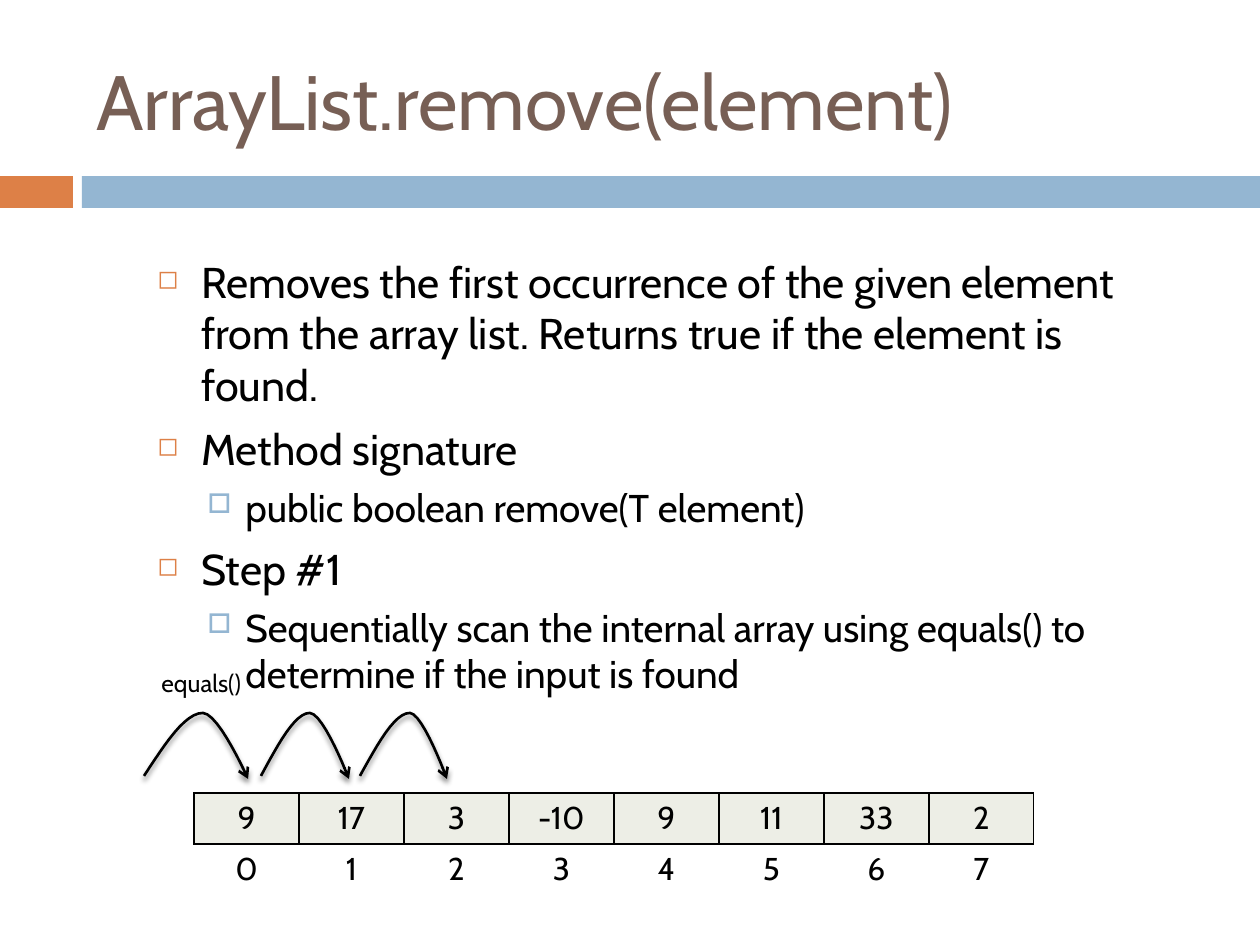
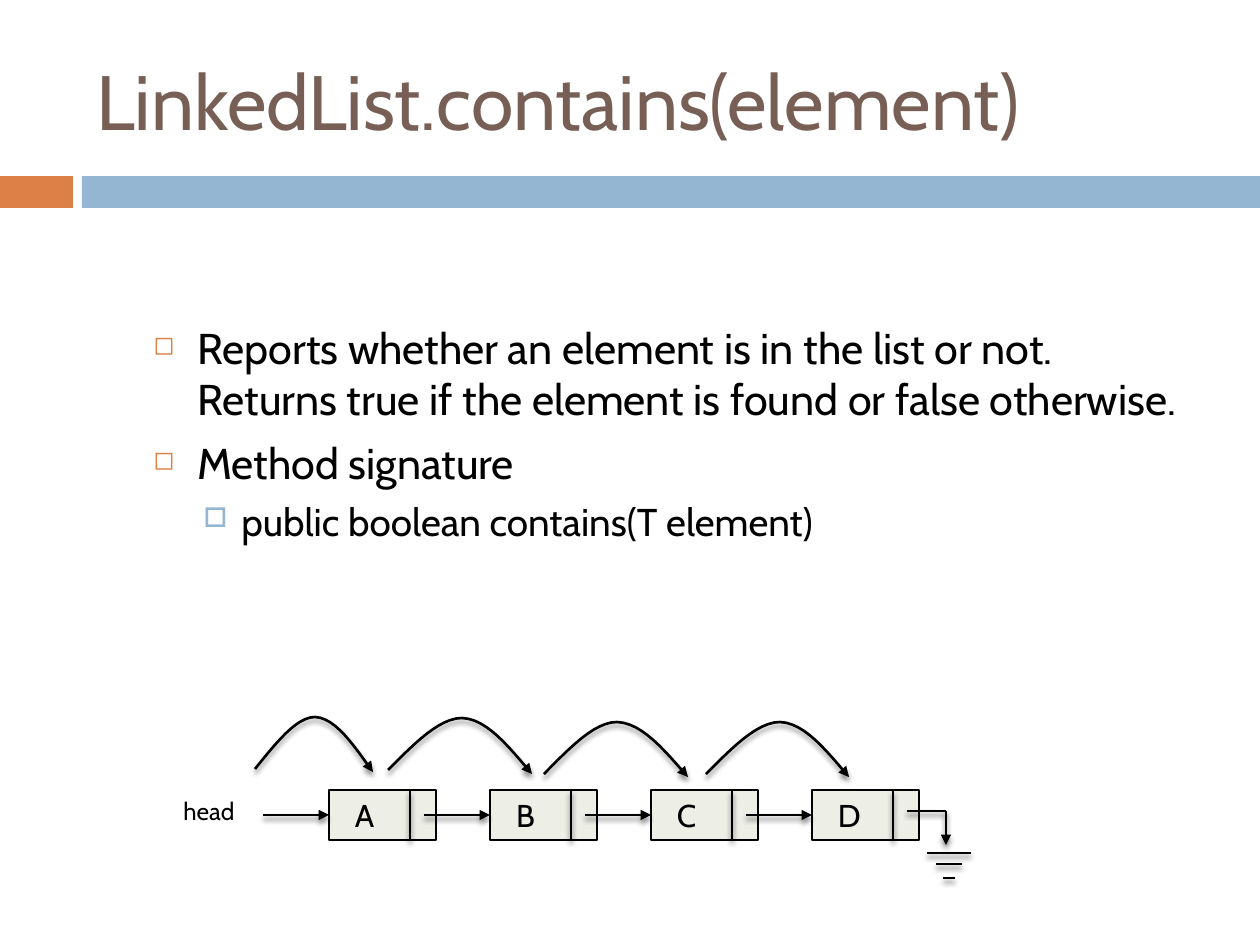
import pptx
import pptx.dml.color
import pptx.enum.shapes
import pptx.enum.text
import pptx.oxml
import pptx.oxml.ns
import pptx.util

PX = 914400 / 126
FONT = "Cabin"
BLACK = "000000"
ORANGE = "DD8047"
BLUE = "94B6D2"
BROWN = "775F55"
CELL_FILL = "EDEEE6"
NAMESPACE = pptx.oxml.ns.nsdecls("a")
RECTANGLE = pptx.enum.shapes.MSO_SHAPE.RECTANGLE
STRAIGHT = pptx.enum.shapes.MSO_CONNECTOR.STRAIGHT
MIDDLE = pptx.enum.text.MSO_ANCHOR.MIDDLE
CENTER = pptx.enum.text.PP_ALIGN.CENTER
rgb = pptx.dml.color.RGBColor.from_string


def px(*lengths):
    return [round(length * PX) for length in lengths]


def style_line(shape, arrowhead=None):
    shape.line.color.rgb = rgb(BLACK)
    shape.line.width = pptx.util.Pt(1.5)
    properties = shape._element.spPr
    if arrowhead:
        properties.find(pptx.oxml.ns.qn("a:ln")).append(
            pptx.oxml.parse_xml(f'<a:tailEnd {NAMESPACE} type="{arrowhead}"/>'))
    properties.append(pptx.oxml.parse_xml(
        f'<a:effectLst {NAMESPACE}><a:outerShdw blurRad="38100" dist="30480" dir="5400000" rotWithShape="0">'
        f'<a:srgbClr val="{BLACK}"><a:alpha val="45000"/></a:srgbClr></a:outerShdw></a:effectLst>'))


bands = [((0, 176, 73, 32), ORANGE), ((82, 176, 1178, 32), BLUE)]
levels = [
    {"size": 24.6, "before": 7, "left": 44, "hang": 44, "mark": "◻", "color": ORANGE, "percent": 60},
    {"size": 22.1, "before": 5.5, "left": 88, "hang": 38, "mark": "□", "color": BLUE, "percent": 70},
]
pages = [
    {
        "title": "ArrayList.remove(element)",
        "body_box": (145, 249, 993, 388),
        "bullets": [
            (0, "Removes the first occurrence of the given element from the array list. Returns true if the element is found."),
            (0, "Method signature"),
            (1, "public boolean remove(T element)"),
            (0, "Step #1"),
            (1, "Sequentially scan the internal array using equals() to determine if the input is found"),
        ],
        "label": "equals()",
        "label_box": (149, 662, 110, 42),
        "hops": [(144, 776, 203, 713, 248, 779), (261, 776, 310, 713, 349, 779), (360, 776, 410, 713, 447, 779)],
        "landing": (1, 1),
        "arrowhead": "arrow",
    },
    {
        "title": "LinkedList.contains(element)",
        "body_box": (141, 315, 1054, 244),
        "bullets": [
            (0, "Reports whether an element is in the list or not. Returns true if the element is found or false otherwise."),
            (0, "Method signature"),
            (1, "public boolean contains(T element)"),
        ],
        "label": "head",
        "label_box": (171, 790, 78, 42),
        "hops": [(255, 769, 315, 717, 373, 772), (388, 770, 462, 718, 532, 774),
                 (544, 774, 617, 722, 688, 777), (706, 774, 780, 722, 849, 777)],
        "landing": (0.67, 0.52),
        "arrowhead": "triangle",
    },
]

presentation = pptx.Presentation()
presentation.slide_width, presentation.slide_height = px(1260, 945)

for page in pages:
    slide = presentation.slides.add_slide(presentation.slide_layouts[6])
    for box, color in bands:
        band = slide.shapes.add_shape(RECTANGLE, *px(*box))
        band.shadow.inherit = False
        band.fill.solid()
        band.fill.fore_color.rgb = rgb(color)
        band.line.fill.background()

    title = slide.shapes.add_textbox(*px(84, 32, 1124, 136))
    title.text_frame.text = page["title"]
    title.text_frame.word_wrap = True
    title.text_frame.vertical_anchor = MIDDLE
    label = slide.shapes.add_textbox(*px(*page["label_box"]))
    label.text_frame.text = page["label"]
    label.text_frame.word_wrap = False
    for box, size, color in [(title, 44, BROWN), (label, 14, BLACK)]:
        font = box.text_frame.paragraphs[0].runs[0].font
        font.name = FONT
        font.size = pptx.util.Pt(size)
        font.color.rgb = rgb(color)

    body = slide.shapes.add_textbox(*px(*page["body_box"]))
    body.text_frame.word_wrap = True
    for index, (level_number, text) in enumerate(page["bullets"]):
        level = levels[level_number]
        paragraph = body.text_frame.add_paragraph() if index else body.text_frame.paragraphs[0]
        paragraph.text = text
        paragraph.level = level_number
        if index:
            paragraph.space_before = pptx.util.Pt(level["before"])
        properties = paragraph._p.get_or_add_pPr()
        left, hang = px(level["left"], level["hang"])
        properties.set("marL", str(left))
        properties.set("indent", str(-hang))
        for bullet in (
            f'<a:buClr {NAMESPACE}><a:srgbClr val="{level["color"]}"/></a:buClr>',
            f'<a:buSzPct {NAMESPACE} val="{level["percent"] * 1000}"/>',
            f'<a:buChar {NAMESPACE} char="{level["mark"]}"/>',
        ):
            properties.append(pptx.oxml.parse_xml(bullet))
        font = paragraph.runs[0].font
        font.name = FONT
        font.size = pptx.util.Pt(level["size"])
        font.color.rgb = rgb(BLACK)

    landing_x, landing_y = page["landing"]
    for start_x, start_y, peak_x, peak_y, end_x, end_y in page["hops"]:
        rise_x, rise_y = peak_x - start_x, peak_y - start_y
        fall_x, fall_y = end_x - peak_x, end_y - peak_y
        curves = [
            [(start_x, start_y), (start_x + rise_x * 0.35, start_y + rise_y * 0.5),
             (start_x + rise_x * 0.69, peak_y), (peak_x, peak_y)],
            [(peak_x, peak_y), (peak_x + fall_x * 0.36, peak_y + 1),
             (peak_x + fall_x * landing_x, peak_y + fall_y * landing_y), (end_x, end_y)],
        ]
        points = []
        for curve in curves:
            for step in range(1, 13):
                t = step / 12
                weights = ((1 - t) ** 3, 3 * t * (1 - t) ** 2, 3 * t ** 2 * (1 - t), t ** 3)
                points.append(px(*(sum(w * point[axis] for w, point in zip(weights, curve)) for axis in (0, 1))))
        builder = slide.shapes.build_freeform(*px(start_x, start_y))
        builder.add_line_segments(points, close=False)
        hop = builder.convert_to_shape()
        hop.fill.background()
        style_line(hop, page["arrowhead"])

array_slide, list_slide = presentation.slides

values = [9, 17, 3, -10, 9, 11, 33, 2]
array_table = array_slide.shapes.add_table(2, len(values), *px(194, 793, 105 * len(values), 102)).table
array_table.first_row = False
array_table.horz_banding = False
for column in array_table.columns:
    column.width = px(105)[0]
for row_number, numbers in enumerate([values, range(len(values))]):
    for column_number, number in enumerate(numbers):
        cell = array_table.cell(row_number, column_number)
        cell.text = str(number)
        paragraph = cell.text_frame.paragraphs[0]
        paragraph.alignment = CENTER
        font = paragraph.runs[0].font
        font.name = FONT
        font.size = pptx.util.Pt(18)
        font.color.rgb = rgb(BLACK)
        for side in "LRTB":
            visible = row_number == 0 or side == "T"
            paint = f'<a:solidFill><a:srgbClr val="{BLACK}"/></a:solidFill>' if visible else "<a:noFill/>"
            cell._tc.get_or_add_tcPr().append(
                pptx.oxml.parse_xml(f'<a:ln{side} {NAMESPACE} w="12700">{paint}</a:ln{side}>'))
        if row_number == 0:
            cell.fill.solid()
            cell.fill.fore_color.rgb = rgb(CELL_FILL)
        else:
            cell.fill.background()

node_left, node_pitch, node_top, node_height = 329, 161, 790, 50
lines = []
for index, letter in enumerate("ABCD"):
    left = node_left + index * node_pitch
    node = list_slide.shapes.add_shape(RECTANGLE, *px(left, node_top, 107, node_height))
    node.shadow.inherit = False
    node.fill.solid()
    node.fill.fore_color.rgb = rgb(CELL_FILL)
    node.line.color.rgb = rgb(BLACK)
    node.line.width = pptx.util.Pt(1.5)
    node.text_frame.text = letter
    node.text_frame.margin_left = px(26)[0]
    node.text_frame.vertical_anchor = MIDDLE
    paragraph = node.text_frame.paragraphs[0]
    paragraph.alignment = pptx.enum.text.PP_ALIGN.LEFT
    font = paragraph.runs[0].font
    font.name = FONT
    font.size = pptx.util.Pt(18)
    font.color.rgb = rgb(BLACK)
    lines.append((left + 81, node_top, left + 81, node_top + node_height, None))
    lines.append((left - 66, 815, left, 815, "triangle"))

lines += [(907, 811, 946, 811, None), (946, 811, 946, 845, "triangle")]
lines += [(949 - half, y, 949 + half, y, None) for half, y in [(22, 853), (13, 864), (6, 878)]]
for *ends, arrowhead in lines:
    style_line(list_slide.shapes.add_connector(STRAIGHT, *px(*ends)), arrowhead)

presentation.save("out.pptx")
